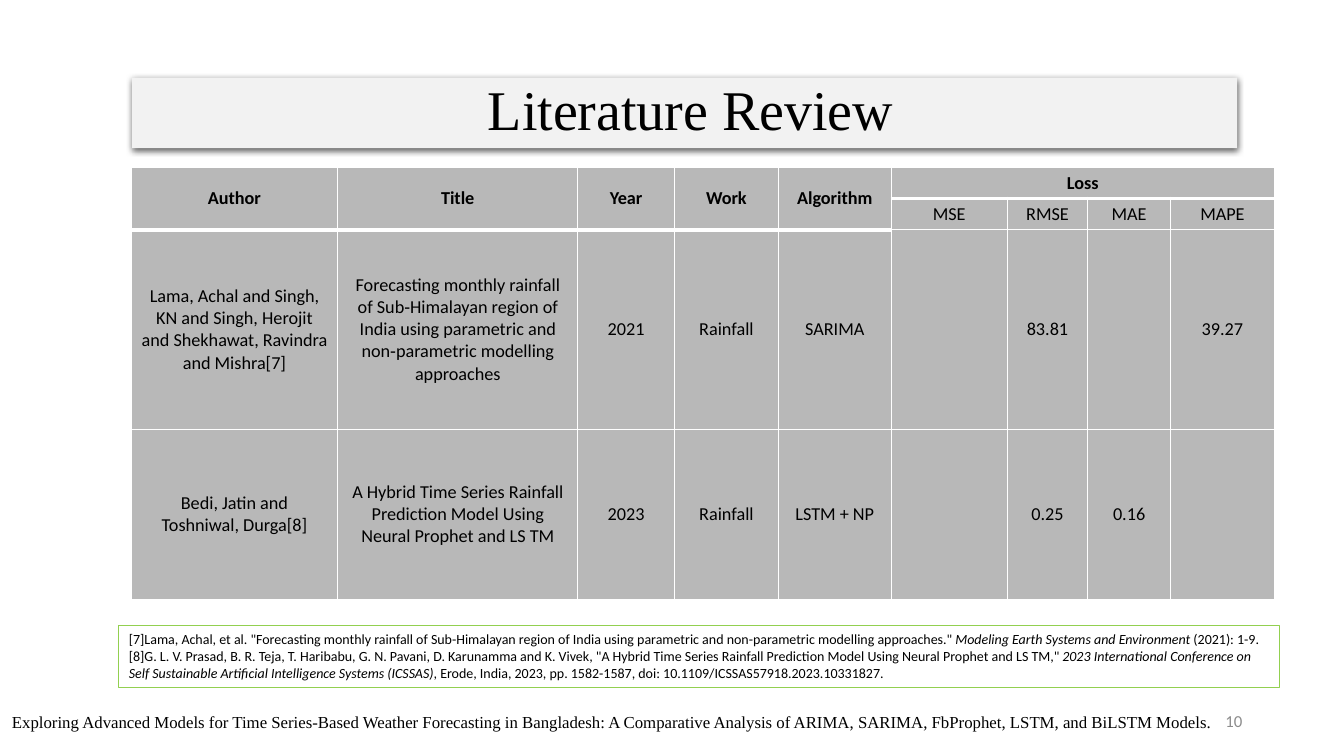
from lxml import etree
from pptx import Presentation
from pptx import util as u
from pptx.dml.color import RGBColor
from pptx.enum import shapes, text
from pptx.oxml.ns import qn

COLORS = {
    "ink": "000000", "bar": "F2F2F2", "cell": "B8B8B8",
    "edge": "FFFFFF", "frame": "92D050", "page": "8C8C8C",
}
ALIGN = {"l": text.PP_ALIGN.LEFT, "c": text.PP_ALIGN.CENTER, "r": text.PP_ALIGN.RIGHT}
SERIF = "Times New Roman"

HEADS = ["Author", "Title", "Year", "Work", "Algorithm"]
LOSSES = ["MSE", "RMSE", "MAE", "MAPE"]
PAPERS = [
    ["Lama, Achal and Singh, KN and Singh, Herojit and Shekhawat, Ravindra and Mishra[7]",
     "Forecasting monthly rainfall of Sub‑Himalayan region of India using "
     "parametric and non‑parametric modelling approaches",
     "2021", "Rainfall", "SARIMA", "", "83.81", "", "39.27"],
    ["Bedi, Jatin and Toshniwal, Durga[8]",
     "A Hybrid Time Series Rainfall Prediction Model Using Neural Prophet and LS TM",
     "2023", "Rainfall", "LSTM + NP", "", "0.25", "0.16", ""],
]
WIDTHS = [2.05, 2.38, 0.96, 1.03, 1.12, 1.15, 0.8, 0.82, 1.03]
HEIGHTS = [0.31, 0.31, 1.98, 1.69]

# Each source is a list of (words, italic) pairs.
SOURCES = [
    [('[7]Lama, Achal, et al. "Forecasting monthly rainfall of Sub-Himalayan region of India '
      'using parametric and non-parametric modelling approaches." ', False),
     ("Modeling Earth Systems and Environment", True),
     (" (2021): 1-9.", False)],
    [("[8]G. L. V. Prasad, B. R. Teja, T. Haribabu, G. N. Pavani, D. Karunamma and K. Vivek, "
      '"A Hybrid Time Series Rainfall Prediction Model Using Neural Prophet and LS TM," ', False),
     ("2023 International Conference on Self Sustainable Artificial Intelligence Systems "
      "(ICSSAS)", True),
     (", Erode, India, 2023, pp. 1582-1587, doi: 10.1109/ICSSAS57918.2023.10331827.", False)],
]


class Deck:
    def __init__(self):
        self.show = Presentation()
        self.show.slide_width = u.Inches(13.33)
        self.show.slide_height = u.Inches(7.5)
        self.slide = self.show.slides.add_slide(self.show.slide_layouts[6])

    def color(self, name):
        return RGBColor.from_string(COLORS[name])

    def fill_in(self, frame, paras, size, font="Calibri", color="ink", align="l", bold=False):
        """Fill a text frame; each paragraph is a list of (words, italic) pairs."""
        frame.word_wrap = True
        for i, parts in enumerate(paras):
            para = frame.paragraphs[0] if i == 0 else frame.add_paragraph()
            para.alignment = ALIGN[align]
            for words, italic in parts:
                run = para.add_run()
                run.text = words
                form = {"size": u.Pt(size), "name": font, "bold": bold, "italic": italic}
                for key, value in form.items():
                    setattr(run.font, key, value)
                run.font.color.rgb = self.color(color)

    def label(self, place, words, size, anchor=text.MSO_ANCHOR.TOP, **form):
        box = self.slide.shapes.add_textbox(*map(u.Inches, place))
        box.text_frame.vertical_anchor = anchor
        self.fill_in(box.text_frame, [[(words, False)]], size, **form)

    def rect(self, place, fill=None, line=None):
        box = self.slide.shapes.add_shape(shapes.MSO_SHAPE.RECTANGLE, *map(u.Inches, place))
        box.shadow.inherit = False
        if fill:
            box.fill.solid()
            box.fill.fore_color.rgb = self.color(fill)
        else:
            box.fill.background()
        if line:
            box.line.color.rgb = self.color(line)
            box.line.width = u.Pt(0.75)
        else:
            box.line.fill.background()
        return box

    def shade(self, box):
        """Add a soft shadow below the shape."""
        effects = box.element.spPr.find(qn("a:effectLst"))
        cast = etree.SubElement(effects, qn("a:outerShdw"), blurRad=str(u.Pt(4.5)),
                                dist=str(u.Pt(1.5)), dir="5400000", algn="ctr", rotWithShape="0")
        tone = etree.SubElement(cast, qn("a:srgbClr"), val=COLORS["ink"])
        etree.SubElement(tone, qn("a:alpha"), val="63000")

    def edge(self, cell, **points):
        """Draw the cell's borders, given as L, R, T and B widths."""
        props = cell._tc.get_or_add_tcPr()
        for side, width in points.items():
            line = etree.SubElement(props, qn("a:ln" + side), w=str(u.Pt(width)))
            fill = etree.SubElement(line, qn("a:solidFill"))
            etree.SubElement(fill, qn("a:srgbClr"), val=COLORS["edge"])

    def table(self, place, rows, widths, heights, spans):
        grid = self.slide.shapes.add_table(len(rows), len(widths), *map(u.Inches, place)).table
        for col, width in zip(grid.columns, widths):
            col.width = u.Inches(width)
        for row, height in zip(grid.rows, heights):
            row.height = u.Inches(height)
        for r, row in enumerate(rows):
            for c, words in enumerate(row):
                cell = grid.cell(r, c)
                loss = c >= len(HEADS)
                below = r == 0 or (r == 1 and not loss)
                self.edge(cell, L=1, R=1, T=3 if r == 1 and loss else 1, B=3 if below else 1)
                cell.fill.solid()
                cell.fill.fore_color.rgb = self.color("cell")
                cell.vertical_anchor = text.MSO_ANCHOR.MIDDLE
                cell.margin_top = cell.margin_bottom = u.Inches(0.04)
                if words:
                    self.fill_in(cell.text_frame, [[(words, False)]], 13, align="c", bold=r == 0)
        for start, end in spans:
            grid.cell(*start).merge(grid.cell(*end))


def main():
    deck = Deck()
    deck.shade(deck.rect((1.31, 0.77, 10.96, 0.7), fill="bar"))
    deck.label((4.42, 0.69, 4.86, 0.77), "Literature Review", 40, font=SERIF, align="c")
    deck.label((9.42, 6.95, 3, 0.4), "10", 12, anchor=text.MSO_ANCHOR.MIDDLE,
               color="page", align="r")

    rows = [HEADS + ["Loss", "", "", ""], [""] * len(HEADS) + LOSSES] + PAPERS
    spans = [((0, c), (1, c)) for c in range(len(HEADS))] + [((0, 5), (0, 8))]
    deck.table((1.3, 1.66, 11.32, 4.3), rows, WIDTHS, HEIGHTS, spans)

    notes = deck.rect((1.18, 6.21, 11.51, 0.61), line="frame")
    notes.text_frame.vertical_anchor = text.MSO_ANCHOR.TOP
    deck.fill_in(notes.text_frame, SOURCES, 10)
    deck.label((0, 7.01, 12.15, 0.3),
               "Exploring Advanced Models for Time Series-Based Weather Forecasting in Bangladesh: "
               "A Comparative Analysis of ARIMA, SARIMA, FbProphet, LSTM, and BiLSTM Models.",
               12, font=SERIF, align="c")
    deck.show.save("out.pptx")


if __name__ == "__main__":
    main()
